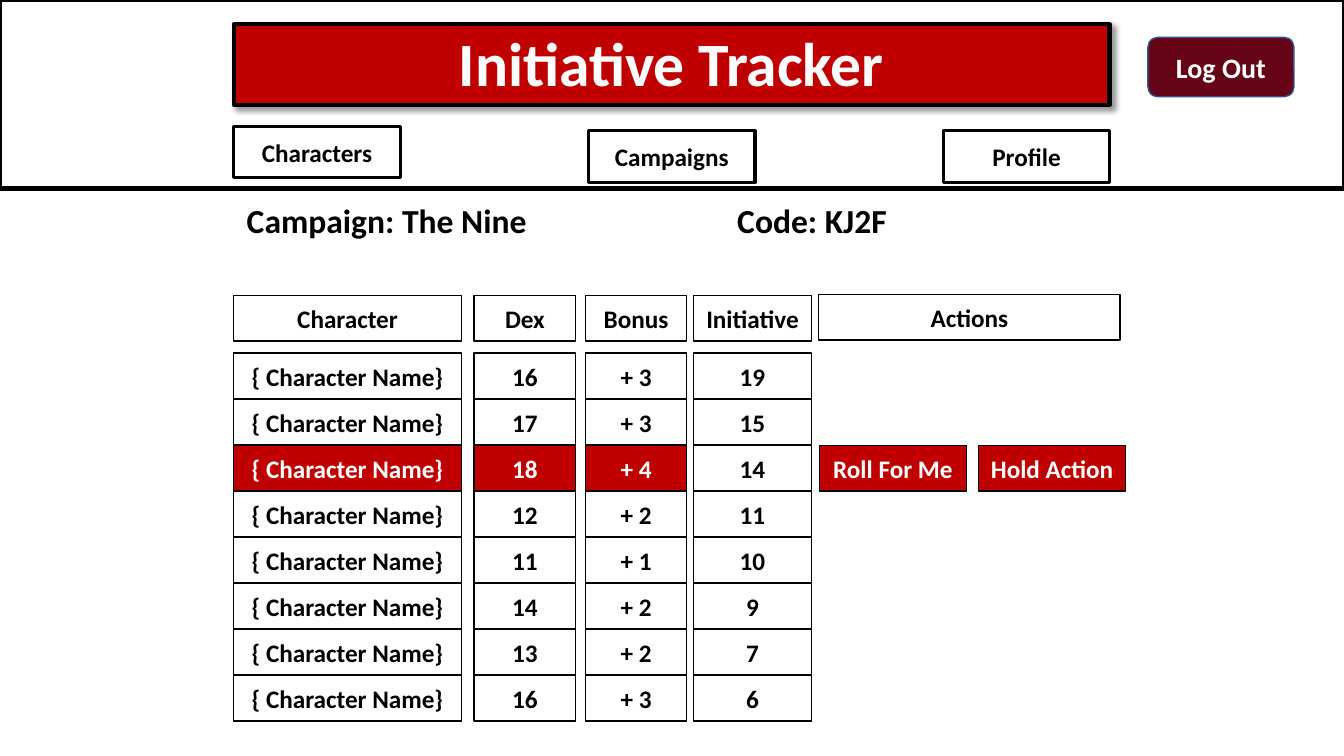
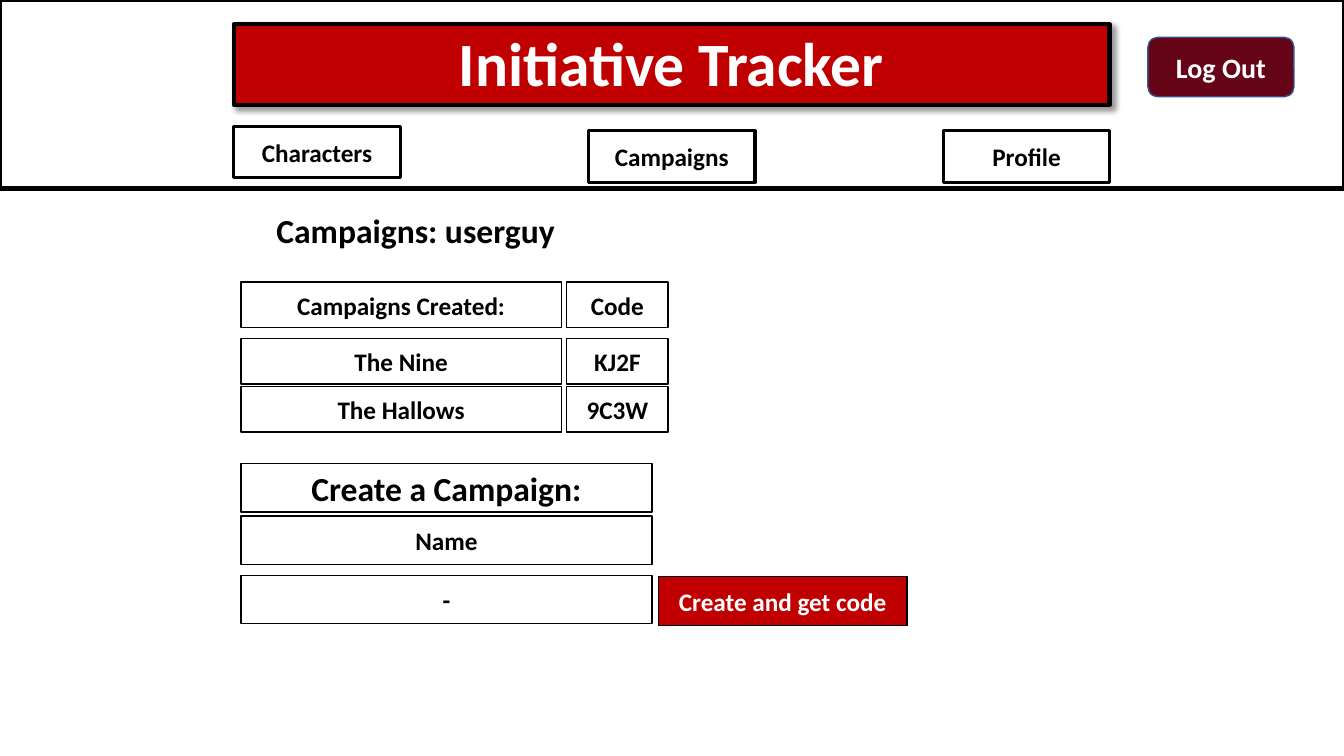
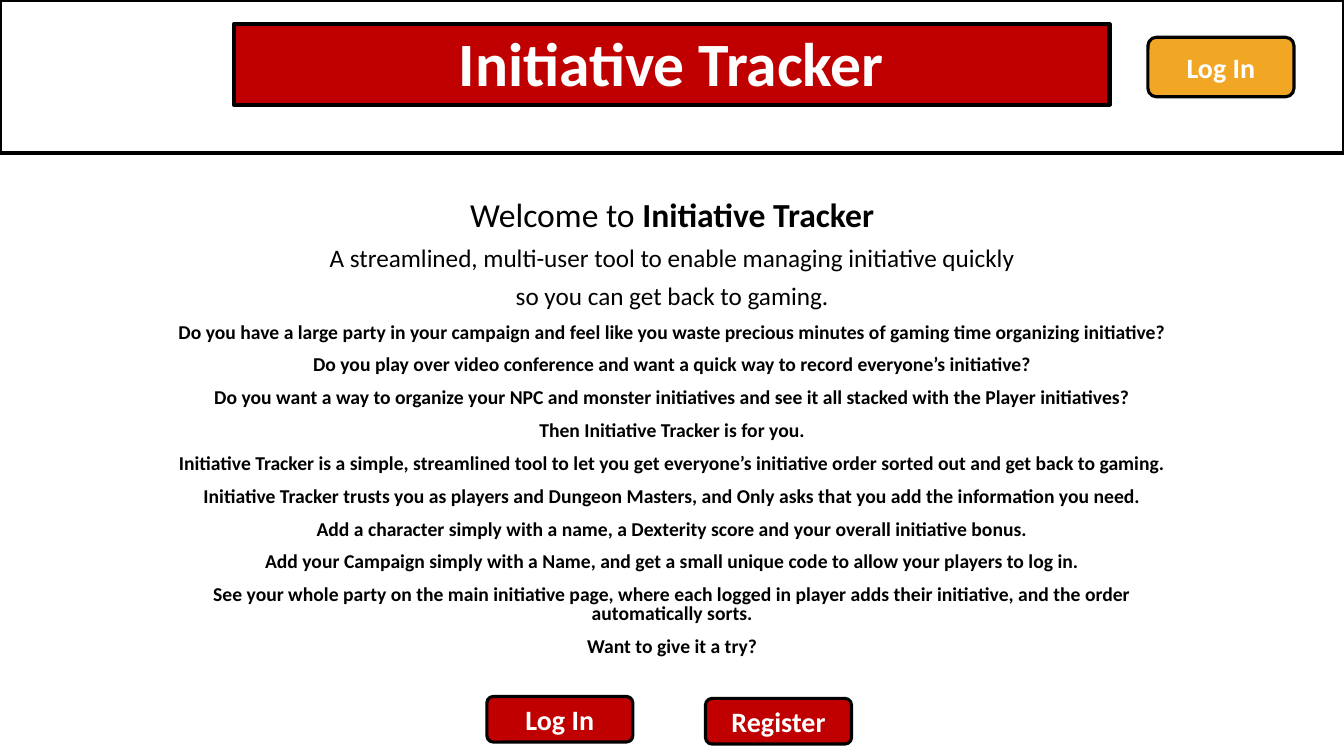
import pptx
import pptx.util
import pptx.dml.color
import pptx.enum.shapes
import pptx.enum.text
import pptx.oxml
import pptx.oxml.ns

Cm = pptx.util.Cm
Pt = pptx.util.Pt
RGBColor = pptx.dml.color.RGBColor
SHAPE = pptx.enum.shapes.MSO_SHAPE
ALIGN = pptx.enum.text.PP_ALIGN
ANCHOR = pptx.enum.text.MSO_ANCHOR

# Colours
BLACK = RGBColor(0x00, 0x00, 0x00)
WHITE = RGBColor(0xFF, 0xFF, 0xFF)
RED = RGBColor(0xC0, 0x00, 0x00)
WINE = RGBColor(0x66, 0x04, 0x18)
NAVY = RGBColor(0x32, 0x54, 0x91)
AMBER = RGBColor(0xF2, 0xA7, 0x24)

# Shared measures, in centimetres
WIDE, HIGH = 33.87, 19.05
LEFT = 5.89
ROW = 1.15
ROUND = 0.142

# Text formats
HEAD = {"name": "Calibri", "size": Pt(44), "bold": True}
LEAD = {"name": "Calibri", "size": Pt(24), "bold": True}
PUSH = {"name": "Calibri", "size": Pt(20), "bold": True}
CELL = {"name": "Calibri", "size": Pt(18), "bold": True}
NOTE = {"name": "Calibri", "size": Pt(14), "bold": True}

SHADE = (
    '<a:outerShdw xmlns:a="http://schemas.openxmlformats.org/drawingml/2006/main" '
    'blurRad="50800" dist="38100" dir="2700000" algn="tl" rotWithShape="0">'
    '<a:srgbClr val="000000"><a:alpha val="40000"/></a:srgbClr></a:outerShdw>'
)


def style(font, form, color):
    for key, value in form.items():
        setattr(font, key, value)
    font.color.rgb = color


def place(shape, left, top, width, height):
    shape.left, shape.top = Cm(left), Cm(top)
    shape.width, shape.height = Cm(width), Cm(height)


def paint(shape, fill, line, weight):
    if fill is None:
        shape.fill.background()
    else:
        shape.fill.solid()
        shape.fill.fore_color.rgb = fill
    shape.line.color.rgb = line
    shape.line.width = Pt(weight)
    shape.shadow.inherit = False


def box(slide, text, left, top, width, height=ROW, form=CELL, fill=None,
        line=BLACK, weight=1, kind=SHAPE.RECTANGLE, bend=None):
    """Outlined box with centred text; white text on a coloured fill."""
    shape = slide.shapes.add_shape(kind, Cm(left), Cm(top), Cm(width), Cm(height))
    paint(shape, fill, line, weight)
    if bend is not None:
        shape.adjustments[0] = bend
    if text:
        frame = shape.text_frame
        frame.margin_left = frame.margin_right = Cm(0.1)
        frame.vertical_anchor = ANCHOR.MIDDLE
        para = frame.paragraphs[0]
        para.text = text
        para.alignment = ALIGN.CENTER
        style(para.font, form, BLACK if fill is None else WHITE)
    return shape


def button(slide, text, left, top, height=ROW, fill=RED, **look):
    look = {"line": BLACK, "weight": 2.25, "bend": ROUND, **look}
    box(slide, text, left, top, 3.68, height, PUSH, fill,
        kind=SHAPE.ROUNDED_RECTANGLE, **look)


def prose(slide, left, top, width, height, paras):
    """Centred text; each paragraph is a list of (text, format) runs."""
    area = slide.shapes.add_textbox(Cm(left), Cm(top), Cm(width), Cm(height))
    frame = area.text_frame
    frame.word_wrap = True
    for index, runs in enumerate(paras):
        para = frame.add_paragraph() if index else frame.paragraphs[0]
        para.alignment = ALIGN.CENTER
        para.line_spacing = 0.8
        para.space_before = Pt(10 if index else 0)
        for text, form in runs:
            run = para.add_run()
            run.text = text
            style(run.font, form, BLACK)


def grid(slide, cols, tops, rows, hot=()):
    """Boxes in rows and columns; hot holds the (row, column) pairs in red."""
    for r, (top, row) in enumerate(zip(tops, rows)):
        for c, ((left, width), text) in enumerate(zip(cols, row)):
            box(slide, text, left, top, width, fill=RED if (r, c) in hot else None)


def banner(deck, height, shade):
    """New slide with the framed band and the red title."""
    slide = deck.slides.add_slide(deck.slide_layouts[5])
    box(slide, "", 0, 0, WIDE, height, weight=3)
    title = slide.shapes.title
    place(title, LEFT, 0.61, 22.07, 2.03)
    paint(title, RED, BLACK, 3)
    if shade:
        effects = title._element.spPr.find(pptx.oxml.ns.qn("a:effectLst"))
        effects.append(pptx.oxml.parse_xml(SHADE))
    frame = title.text_frame
    frame.text = "Initiative Tracker"
    frame.auto_size = pptx.enum.text.MSO_AUTO_SIZE.NONE
    frame.vertical_anchor = ANCHOR.BOTTOM
    para = frame.paragraphs[0]
    para.alignment = ALIGN.CENTER
    para.line_spacing = 0.9
    style(para.font, HEAD, WHITE)
    return slide


def member(deck):
    """Banner slide for a user who is logged in, with its menu."""
    slide = banner(deck, 4.75, True)
    button(slide, "Log Out", 28.93, 0.94, 1.5, WINE, line=NAVY, weight=1, bend=None)
    menu = [("Characters", 3.18), ("Campaigns", 3.3), ("Profile", 3.3)]
    for index, (text, top) in enumerate(menu):
        box(slide, text, LEFT + 8.94 * index, top, 4.2, 1.3, weight=2.25)
    return slide


def tracker(deck):
    slide = member(deck)
    for text, left in [("Campaign: The Nine", 4.65), ("Code: KJ2F", 15.37)]:
        prose(slide, left, 5.1, 10.19, 1.14, [[(text, LEAD)]])

    # Turn order
    scores = [(16, 3, 19), (17, 3, 15), (18, 4, 14), (12, 2, 11),
              (11, 1, 10), (14, 2, 9), (13, 2, 7), (16, 3, 6)]
    rows = [("Character", "Dex", "Bonus", "Initiative")]
    rows += [("{ Character Name}", str(dex), f"+ {plus}", str(total))
             for dex, plus, total in scores]
    cols = [(LEFT, 5.74), (11.95, 2.56), (14.75, 2.56), (17.48, 2.97)]
    tops = [7.44] + [8.9 + 1.16 * i for i in range(len(scores))]
    grid(slide, cols, tops, rows, {(3, 0), (3, 1), (3, 2)})

    # Actions
    box(slide, "Actions", 20.63, 7.42, 7.6)
    for text, left in [("Roll For Me", 20.65), ("Hold Action", 24.66)]:
        box(slide, text, left, tops[3], 3.71, fill=RED)


def groups(deck):
    slide = member(deck)
    prose(slide, 5.38, 5.36, 10.19, 1.14, [[("Campaigns: userguy", LEAD)]])
    rows = [("Campaigns Created:", "Code"), ("The Nine", "KJ2F"),
            ("The Hallows", "9C3W")]
    grid(slide, [(6.07, 8.08), (14.28, 2.56)], [7.11, 8.53, 9.74], rows)

    # Form for a new campaign
    form = [("Create a Campaign:", 11.68, LEAD), ("Name", 13, CELL), ("-", 14.5, CELL)]
    for text, top, font in form:
        box(slide, text, 6.07, top, 10.36, 1.22, font)
    box(slide, "Create and get code", 16.59, 14.53, 6.27, 1.24, fill=RED)


def welcome(deck):
    slide = banner(deck, 3.86, False)
    button(slide, "Log In", 28.93, 0.94, 1.5, AMBER)
    plain = {**CELL, "bold": False}
    paras = [
        [("Welcome to ", {**LEAD, "bold": False}), ("Initiative Tracker", LEAD)],
        [("A streamlined, multi-user tool to enable managing initiative quickly", plain)],
        [("so you can get back to gaming.", plain)],
    ]
    pitch = [
        "Do you have a large party in your campaign and feel like you waste precious "
        "minutes of gaming time organizing initiative?",
        "Do you play over video conference and want a quick way to record everyone’s "
        "initiative?",
        "Do you want a way to organize your NPC and monster initiatives and see it all "
        "stacked with the Player initiatives?",
        "Then Initiative Tracker is for you.",
        "Initiative Tracker is a simple, streamlined tool to let you get everyone’s "
        "initiative order sorted out and get back to gaming.",
        "Initiative Tracker trusts you as players and Dungeon Masters, and Only asks "
        "that you add the information you need.",
        "Add a character simply with a name, a Dexterity score and your overall "
        "initiative bonus.",
        "Add your Campaign simply with a Name, and get a small unique code to allow "
        "your players to log in.",
        "See your whole party on the main initiative page, where each logged in player "
        "adds their initiative, and the order automatically sorts.",
        "Want to give it a try?",
    ]
    paras += [[(text, NOTE)] for text in pitch]
    prose(slide, 4.24, 4.95, 25.4, 12.1, paras)
    button(slide, "Log In", 12.27, 17.55)
    button(slide, "Register", 17.78, 17.6)


def main():
    deck = pptx.Presentation()
    deck.slide_width, deck.slide_height = Cm(WIDE), Cm(HIGH)
    tracker(deck)
    groups(deck)
    welcome(deck)
    deck.save("out.pptx")


if __name__ == "__main__":
    main()
